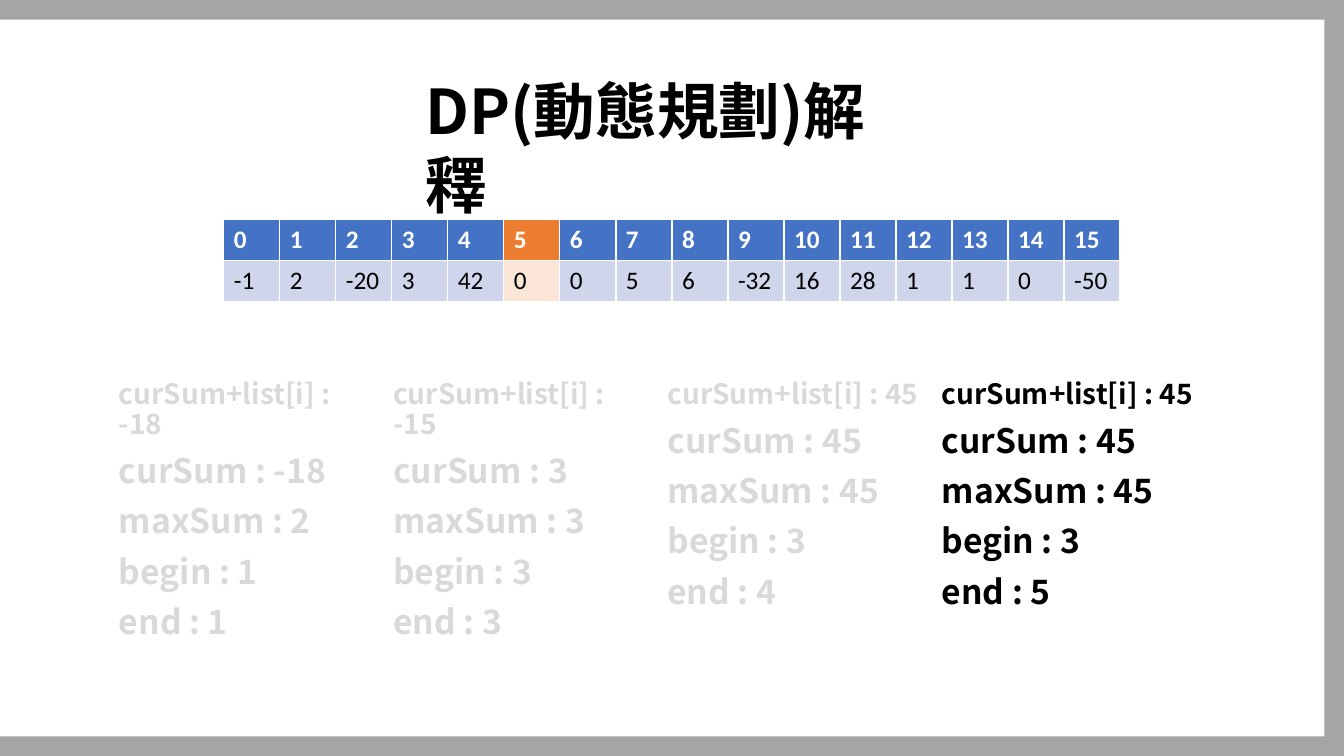
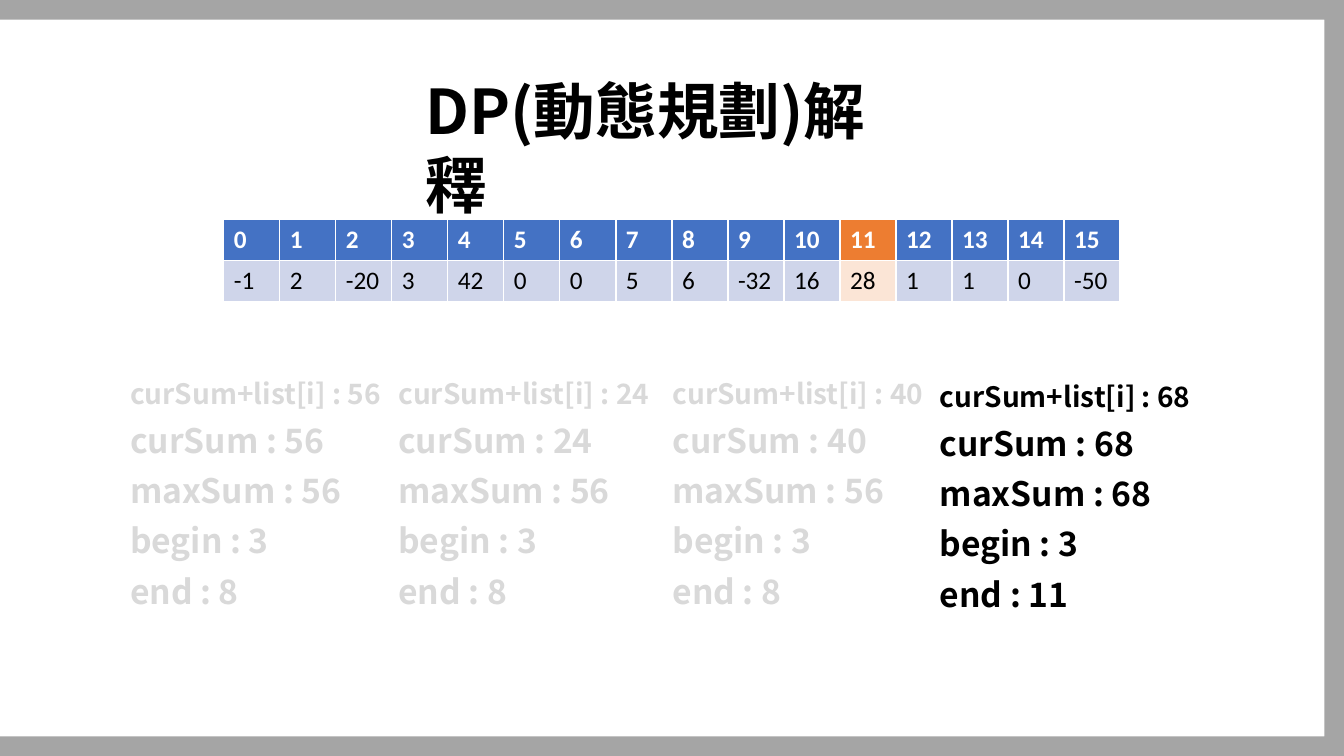
from dataclasses import dataclass

from pptx import Presentation
from pptx.dml.color import RGBColor
from pptx.enum.shapes import MSO_SHAPE
from pptx.enum.text import MSO_ANCHOR, MSO_AUTO_SIZE, PP_ALIGN
from pptx.oxml.ns import qn
from pptx.oxml.xmlchemy import OxmlElement
from pptx.slide import Slide
from pptx.text.text import TextFrame
from pptx.util import Inches, Pt

BLACK = RGBColor(0x00, 0x00, 0x00)
WHITE = RGBColor(0xFF, 0xFF, 0xFF)
FRAME_GRAY = RGBColor(0xA5, 0xA5, 0xA5)
PAST_GRAY = RGBColor(0xD9, 0xD9, 0xD9)
HEAD_BLUE = RGBColor(0x44, 0x72, 0xC4)
CELL_BLUE = RGBColor(0xCF, 0xD5, 0xEA)
HEAD_ORANGE = RGBColor(0xED, 0x7D, 0x31)
CELL_ORANGE = RGBColor(0xFB, 0xE5, 0xD6)

TEXT_FONT = "Noto Sans CJK SC"
TABLE_FONT = "Calibri"
TITLE = "DP(動態規劃)解釋"
NUMBERS = [-1, 2, -20, 3, 42, 0, 0, 5, 6, -32, 16, 28, 1, 1, 0, -50]
COMPARISON_LAYOUT = 4  # a title and four text placeholders


@dataclass
class Step:
    """State of the variables after one pass of the loop."""
    left: float
    candidate: int
    cur_sum: int
    max_sum: int
    begin: int
    end: int
    width: float = 2.93
    top: float = 3.72

    def lines(self) -> list[str]:
        return [
            f"curSum+list[i] : {self.candidate}",
            f"curSum : {self.cur_sum}",
            f"maxSum : {self.max_sum}",
            f"begin : {self.begin}",
            f"end : {self.end}",
        ]


@dataclass
class StepSlide:
    """Four steps, of which the last is the current one."""
    index: int
    steps: list[Step]


STEP_SLIDES = [
    StepSlide(5, [
        Step(1.08, -18, -18, 2, 1, 1, width=2.72),
        Step(3.8, -15, 3, 3, 3, 3, width=2.72),
        Step(6.52, 45, 45, 45, 3, 4),
        Step(9.24, 45, 45, 45, 3, 5),
    ]),
    StepSlide(11, [
        Step(1.19, 56, 56, 56, 3, 8),
        Step(3.85, 24, 24, 56, 3, 8),
        Step(6.57, 40, 40, 56, 3, 8),
        Step(9.22, 68, 68, 68, 3, 11, width=3.27, top=3.75),
    ]),
]


def place(sp, left: float, top: float, width: float, height: float) -> None:
    sp.left, sp.top = Inches(left), Inches(top)
    sp.width, sp.height = Inches(width), Inches(height)


def style_paragraph(p, size: int, color: RGBColor, font: str = TEXT_FONT,
                    bold: bool = True) -> None:
    p.alignment = PP_ALIGN.LEFT
    p.font.size = Pt(size)
    p.font.bold = bold
    p.font.color.rgb = color
    p.font.name = font
    east_asian = OxmlElement("a:ea")
    east_asian.set("typeface", font)
    p._p.pPr.find(qn("a:defRPr")).append(east_asian)


def remove_bullet(p) -> None:
    pPr = p._p.get_or_add_pPr()
    pPr.set("marL", "0")
    pPr.set("indent", "0")
    pPr.insert_element_before(OxmlElement("a:buNone"), "a:tabLst", "a:defRPr")


def anchor_top(tf: TextFrame) -> None:
    tf.word_wrap = True
    tf.auto_size = MSO_AUTO_SIZE.NONE
    tf.vertical_anchor = MSO_ANCHOR.TOP


def add_frame(s: Slide) -> None:
    sp = s.shapes.add_shape(MSO_SHAPE.FRAME, Inches(-0.26), 0,
                            Inches(13.59), Inches(7.5))
    sp.adjustments[0] = 0.026
    sp.shadow.inherit = False
    sp.fill.solid()
    sp.fill.fore_color.rgb = FRAME_GRAY
    sp.line.fill.background()


def set_title(s: Slide) -> None:
    title = s.shapes.title
    place(title, 4.12, 0.67, 5.1, 0.84)
    tf = title.text_frame
    anchor_top(tf)
    tf.text = TITLE
    p = tf.paragraphs[0]
    p.line_spacing = 1.0
    p.space_before = Pt(0)
    style_paragraph(p, 44, BLACK)


def add_number_table(s: Slide, current: int) -> None:
    """Draw the indices above the numbers, with the current column in orange."""
    table = s.shapes.add_table(2, len(NUMBERS), Inches(2.22), Inches(2.18),
                               Inches(8.89), Inches(0.81)).table
    rows = [
        (range(len(NUMBERS)), HEAD_BLUE, HEAD_ORANGE, WHITE, True),
        (NUMBERS, CELL_BLUE, CELL_ORANGE, BLACK, False),
    ]
    for row, (values, fill, current_fill, color, bold) in enumerate(rows):
        for col, value in enumerate(values):
            cell = table.cell(row, col)
            cell.text = str(value)
            cell.fill.solid()
            cell.fill.fore_color.rgb = current_fill if col == current else fill
            style_paragraph(cell.text_frame.paragraphs[0], 18, color,
                            TABLE_FONT, bold)


def fill_step(sp, step: Step, color: RGBColor) -> None:
    place(sp, step.left, step.top, step.width, 2.98)
    tf = sp.text_frame
    anchor_top(tf)
    tf.text = "\n".join(step.lines())
    for i, p in enumerate(tf.paragraphs):
        p.line_spacing = 0.9
        p.space_before = Pt(10)
        style_paragraph(p, 24 if i else 20, color)
        remove_bullet(p)


def add_step_slide(prs, content: StepSlide) -> None:
    s = prs.slides.add_slide(prs.slide_layouts[COMPARISON_LAYOUT])
    bodies = list(s.placeholders)[1:]
    add_frame(s)
    set_title(s)
    add_number_table(s, content.index)
    for sp, step in zip(bodies, content.steps):
        is_current = step is content.steps[-1]
        fill_step(sp, step, BLACK if is_current else PAST_GRAY)


def main() -> None:
    prs = Presentation()
    prs.slide_width, prs.slide_height = Inches(13.33), Inches(7.5)
    for content in STEP_SLIDES:
        add_step_slide(prs, content)
    prs.save("out.pptx")


if __name__ == "__main__":
    main()
